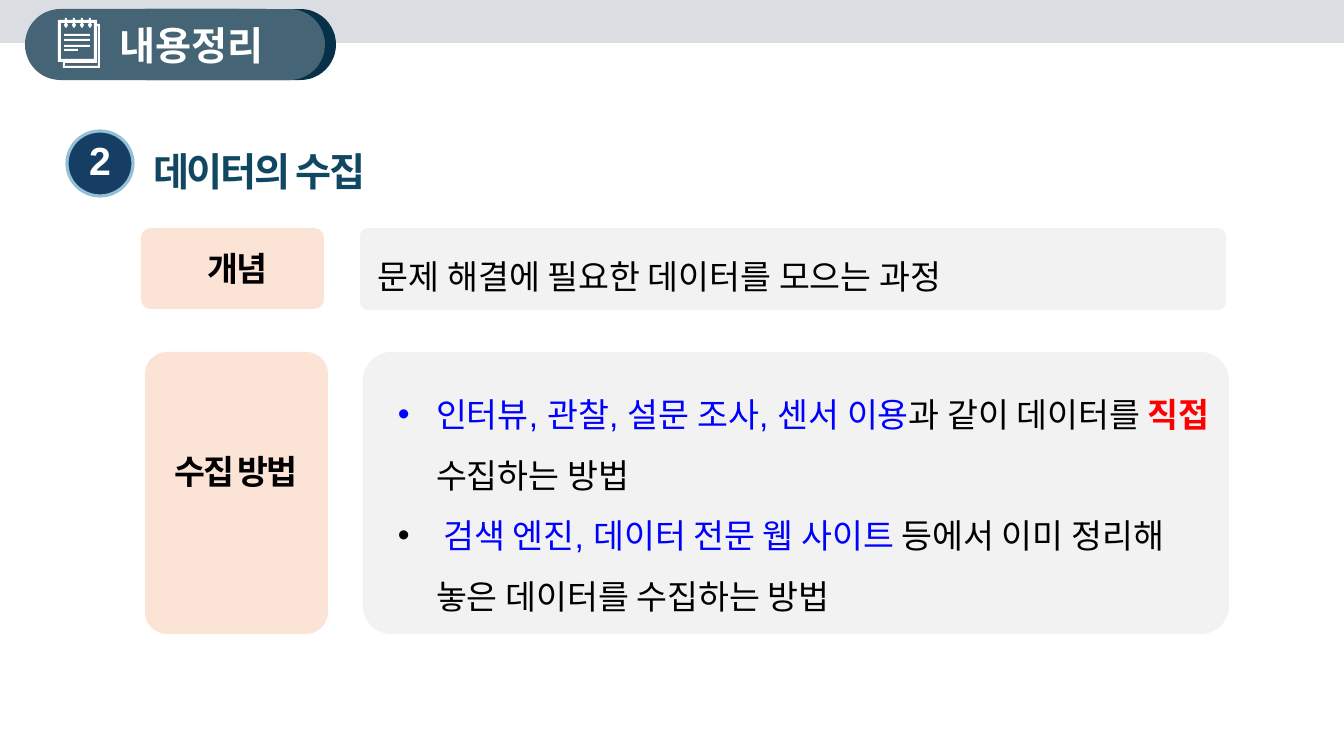
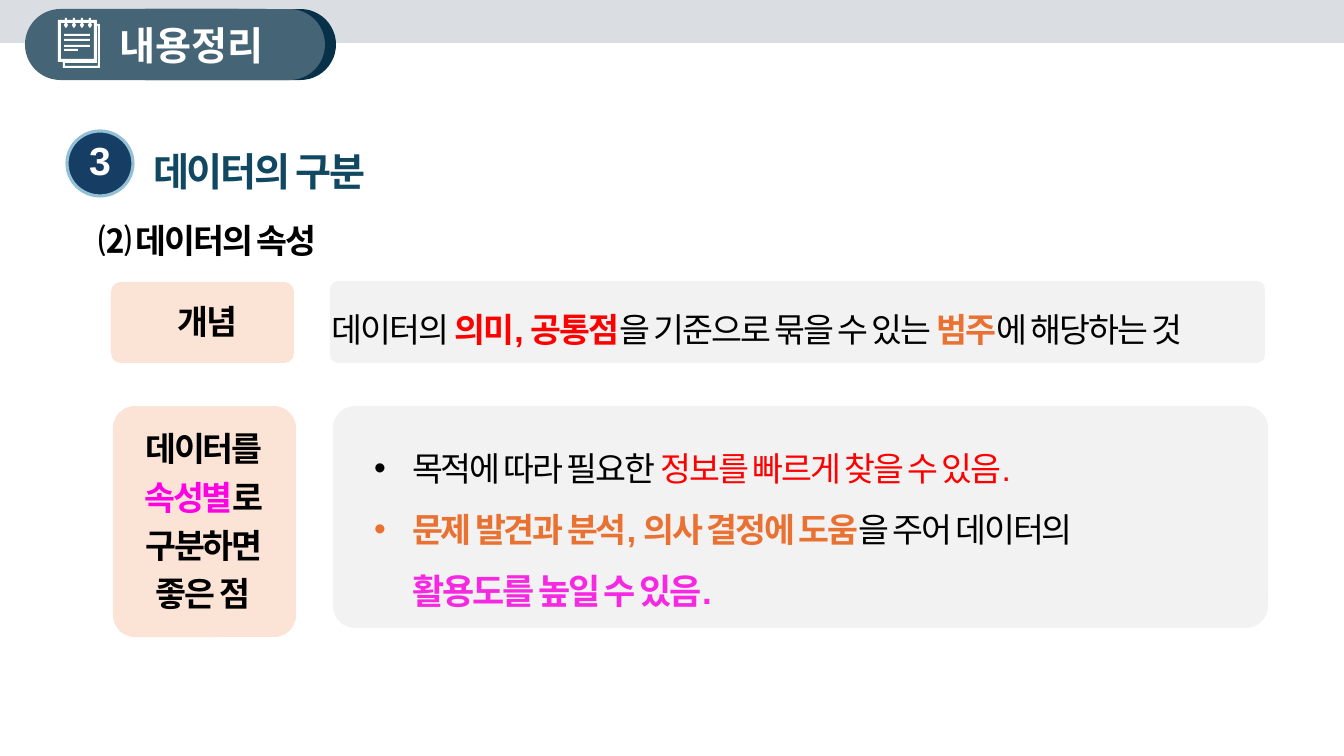
"""Build two Korean summary slides on collecting and classifying data."""
from pptx import Presentation
from pptx.dml.color import RGBColor
from pptx.enum.shapes import MSO_SHAPE as SHAPE
from pptx.enum.text import MSO_ANCHOR as ANCHOR, MSO_AUTO_SIZE as AUTOSIZE, PP_ALIGN as ALIGN
from pptx.oxml.ns import qn
from pptx.util import Pt
from lxml.etree import SubElement

PX = 914400 / 100.8
FONT = "Arial"
COLORS = {
    "band": "DADEE2", "pill": "456576", "pill_edge": "063148",
    "badge": "163E64", "badge_ring": "93C0D4", "title": "104862",
    "label": "FBE3D6", "panel": "F2F2F2", "white": "FFFFFF", "black": "000000",
    "blue": "0000FF", "red": "FF0000", "orange": "E97132",
    "magenta": "FF00E5", "pink": "F628E1",
}
TIGHT = -150
SNUG, ROOMY = (8, 4, 0, 4), (10, 5, 10, 5)
STYLES = {
    "banner": dict(size=28, bold=True, color="white", align=ALIGN.CENTER),
    "title": dict(size=28, bold=True, color="title", spacing=1.2, tracking=TIGHT, margins=SNUG),
    "subtitle": dict(bold=True, spacing=1.5, tracking=TIGHT, margins=SNUG),
    "term": dict(bold=True, align=ALIGN.CENTER, tracking=TIGHT),
    "heading": dict(bold=True, align=ALIGN.CENTER, spacing=1.2, tracking=TIGHT),
    "definition": dict(align=ALIGN.JUSTIFY, spacing=1.6, hanging=12, margins=SNUG),
    "points": dict(spacing=1.5, hanging=38, bullet="•", margins=SNUG),
}
SECTIONS = [
    {
        "number": "2", "title": "데이터의 수집", "tracking": 0,
        "labels": [(141, 228, 183, 81), (145, 352, 183, 282)],
        "panels": [(360, 228, 866, 82), (363, 352, 866, 282)],
        "texts": [
            ("term", (145, 243, 185, 50), [[("개념",)]]),
            ("definition", (370, 228, 856, 66), [[("문제 해결에 필요한 데이터를 모으는 과정",)]]),
            ("heading", (155, 438, 162, 55), [[("수집 방법",)]]),
            ("points", (390, 370, 827, 249), [
                [("인터뷰, 관찰, 설문 조사, 센서 이용", "blue"), ("과 같이 데이터를 ",),
                 ("직접", "red", True), (" 수집하는 방법",)],
                [(" ",), ("검색 엔진, 데이터 전문 웹 사이트", "blue"),
                 (" 등에서 이미 정리해 놓은 데이터를 수집하는 방법",)],
            ]),
        ],
    },
    {
        "number": "3", "title": "데이터의 구분", "tracking": TIGHT,
        "labels": [(111, 282, 183, 81), (113, 406, 183, 231)],
        "panels": [(330, 281, 935, 82), (333, 406, 935, 222)],
        "texts": [
            ("subtitle", (91, 196, 1178, 62), [[("⑵ 데이터의 속성",)]]),
            ("term", (115, 296, 185, 50), [[("개념",)]]),
            ("definition", (324, 281, 958, 72), [
                [("데이터의 ",), ("의미, 공통점", "red", True), ("을 기준으로 묶을 수 있는 ",),
                 ("범주", "orange", True), ("에 해당하는 것",)],
            ]),
            ("heading", (122, 415, 162, 203), [
                [("데이터를 ",), ("속성별", "magenta"), ("로 구분하면 좋은 점",)],
            ]),
            ("points", (366, 424, 827, 192), [
                [("목적에 따라 필요한 ",), ("정보를 빠르게 찾을 수 있음.", "red")],
                [("문제 발견과 분석, 의사 결정에 도움", "orange", True), ("을 주어 데이터의 ",),
                 ("활용도를 높일 수 있음.", "pink", True, 25)],
            ]),
        ],
    },
]


def px(*lengths):
    return [round(length * PX) for length in lengths]


def rgb(name):
    return RGBColor.from_string(COLORS[name])


def paint(shape, fill):
    shape.shadow.inherit = False
    shape.fill.solid()
    shape.fill.fore_color.rgb = rgb(fill)
    shape.line.fill.background()
    return shape


def add_block(slide, kind, box, fill, radius=None):
    block = paint(slide.shapes.add_shape(kind, *px(*box)), fill)
    if radius is not None:
        block.adjustments[0] = radius
    return block


def write(frame, paragraphs, size=24, bold=False, color="black", align=ALIGN.LEFT,
          spacing=1.0, tracking=0, hanging=0, bullet=None, margins=ROOMY):
    frame.word_wrap = True
    frame.auto_size = AUTOSIZE.NONE
    frame.margin_left, frame.margin_top, frame.margin_right, frame.margin_bottom = px(*margins)
    for index, runs in enumerate(paragraphs):
        paragraph = frame.add_paragraph() if index else frame.paragraphs[0]
        paragraph.alignment = align
        paragraph.line_spacing = spacing
        properties = paragraph._p.get_or_add_pPr()
        if hanging:
            indent, = px(hanging)
            properties.set("marL", str(indent))
            properties.set("indent", str(-indent))
        if bullet:
            SubElement(properties, qn("a:buFont"), typeface=FONT)
            SubElement(properties, qn("a:buChar"), char=bullet)
        font = paragraph.font
        font.name, font.size, font.bold = FONT, Pt(size), bold
        font.color.rgb = rgb(color)
        if tracking:
            properties.find(qn("a:defRPr")).set("spc", str(tracking))
        for text, *emphasis in runs:
            run = paragraph.add_run()
            run.text = text
            tint, strong, run_size = (emphasis + [None] * 3)[:3]
            if tint:
                run.font.color.rgb = rgb(tint)
            if strong:
                run.font.bold = True
            if run_size:
                run.font.size = Pt(run_size)


def add_text(slide, box, paragraphs, style):
    write(slide.shapes.add_textbox(*px(*box)).text_frame, paragraphs, **style)


def add_notepad(slide):
    rings = [66 + 8 * i for i in range(4)]
    outline = [(58, 62), (63, 62), (63, 68), (100, 68), (100, 24), (97, 24), (97, 20)]
    for x in reversed(rings):
        outline += [(x + 1, 20), (x + 1, 18), (x - 1, 18), (x - 1, 20)]
    outline.append((58, 20))
    back_page = [(97, 26), (98, 26), (98, 66), (65, 66), (65, 63), (97, 63)]
    front_page = [(61, 23)]
    for x in rings:
        front_page += [(x - 1, 23), (x - 2, 25), (x - 1, 27), (x, 28),
                       (x + 1, 27), (x + 2, 25), (x + 1, 23)]
    front_page += [(94, 23), (94, 59), (61, 59)]

    builder = slide.shapes.build_freeform(*outline[0], scale=PX)
    builder.add_line_segments(outline[1:])
    for page in (back_page, front_page):
        builder.move_to(*page[0])
        builder.add_line_segments(page[1:])
    paint(builder.convert_to_shape(), "white")
    for top, width in ((34, 26), (39, 26), (45, 26), (49, 14)):
        add_block(slide, SHAPE.RECTANGLE, (64, top, width, 2), "white")


def add_header(slide):
    add_block(slide, SHAPE.RECTANGLE, (0, -2, 1344, 45), "band")
    add_block(slide, SHAPE.ROUNDED_RECTANGLE, (110, 9, 226, 71), "pill_edge", 0.5)
    add_block(slide, SHAPE.ROUNDED_RECTANGLE, (25, 9, 300, 71), "pill", 0.5)
    add_text(slide, (100, 16, 183, 57), [[("내용정리",)]], STYLES["banner"])
    add_notepad(slide)


def add_title(slide, number, title):
    badge = add_block(slide, SHAPE.OVAL, (67, 131, 66, 65), "badge")
    badge.line.color.rgb = rgb("badge_ring")
    badge.line.width = Pt(2.25)
    write(badge.text_frame, [[(number,)]], **{**STYLES["banner"], "spacing": Pt(28)})
    badge.text_frame.word_wrap = False
    badge.text_frame.vertical_anchor = ANCHOR.MIDDLE

    heading = slide.shapes.title
    heading.left, heading.top, heading.width, heading.height = px(145, 134, 866, 61)
    heading.text_frame.vertical_anchor = ANCHOR.TOP
    write(heading.text_frame, [[(title,)]], **STYLES["title"])


def add_section(deck, section):
    slide = deck.slides.add_slide(deck.slide_layouts[5])
    add_title(slide, section["number"], section["title"])
    add_header(slide)
    for fill, radius in (("label", 0.12), ("panel", 0.1)):
        for box in section[fill + "s"]:
            add_block(slide, SHAPE.ROUNDED_RECTANGLE, box, fill, radius)
    for role, box, paragraphs in section["texts"]:
        add_text(slide, box, paragraphs, {"tracking": section["tracking"], **STYLES[role]})


def main():
    deck = Presentation()
    deck.slide_width, deck.slide_height = px(1344, 756)
    for section in SECTIONS:
        add_section(deck, section)
    deck.save("out.pptx")


if __name__ == "__main__":
    main()
